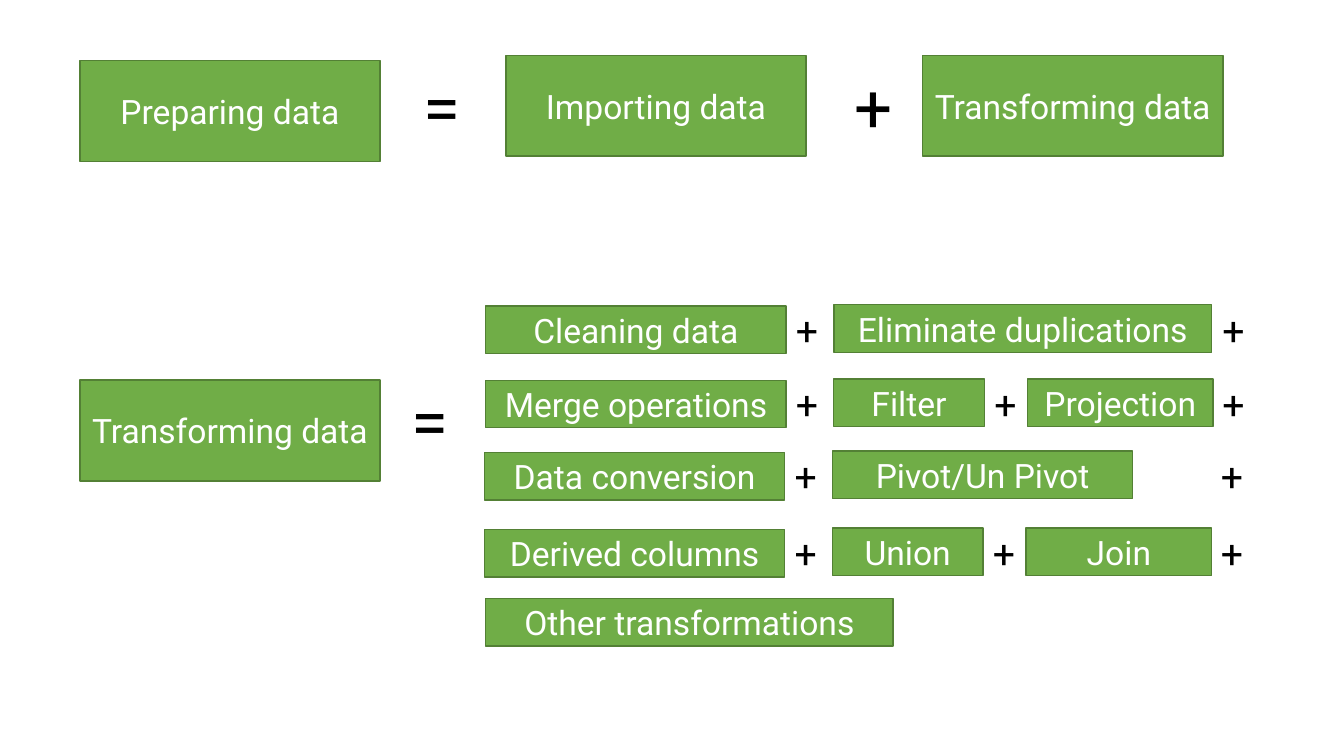
from dataclasses import dataclass

from pptx import Presentation
from pptx.dml.color import RGBColor
from pptx.enum.shapes import MSO_SHAPE
from pptx.enum.text import MSO_ANCHOR, MSO_AUTO_SIZE, PP_ALIGN
from pptx.util import Pt


@dataclass(frozen=True)
class Theme:
    font: str = "Roboto"
    box_fill: RGBColor = RGBColor(0x70, 0xAD, 0x47)
    box_line: RGBColor = RGBColor(0x53, 0x80, 0x35)
    box_text: RGBColor = RGBColor(0xFF, 0xFF, 0xFF)
    sign_text: RGBColor = RGBColor(0x00, 0x00, 0x00)
    box_size: int = 24
    large_sign_size: int = 48
    small_sign_size: int = 28
    line_width: int = 1


class EquationSlide:
    def __init__(self, slide, theme):
        self.slide = slide
        self.theme = theme

    def label(self, shape, text, size, color):
        paragraph = shape.text_frame.paragraphs[0]
        paragraph.text = text
        font = paragraph.runs[0].font
        font.name = self.theme.font
        font.size = Pt(size)
        font.color.rgb = color
        return paragraph

    def box(self, text, left, top, width, height):
        shape = self.slide.shapes.add_shape(
            MSO_SHAPE.RECTANGLE, Pt(left), Pt(top), Pt(width), Pt(height))
        shape.shadow.inherit = False
        shape.fill.solid()
        shape.fill.fore_color.rgb = self.theme.box_fill
        shape.line.color.rgb = self.theme.box_line
        shape.line.width = Pt(self.theme.line_width)
        shape.text_frame.word_wrap = True
        shape.text_frame.vertical_anchor = MSO_ANCHOR.MIDDLE
        paragraph = self.label(shape, text, self.theme.box_size, self.theme.box_text)
        paragraph.alignment = PP_ALIGN.CENTER

    def sign(self, text, left, top, width, height, size):
        shape = self.slide.shapes.add_textbox(Pt(left), Pt(top), Pt(width), Pt(height))
        shape.text_frame.word_wrap = False
        shape.text_frame.auto_size = MSO_AUTO_SIZE.SHAPE_TO_FIT_TEXT
        self.label(shape, text, size, self.theme.sign_text)

    def large_sign(self, text, left, top):
        self.sign(text, left, top, 47.5, 65.5, self.theme.large_sign_size)

    def small_plus(self, left, top):
        self.sign("+", left, top, 34, 41, self.theme.small_sign_size)

    def term_row(self, left, top, terms):
        for index, (text, offset, width) in enumerate(terms):
            rise = 1 if index else 0
            self.box(text, left + offset, top - rise, width, TERM_HEIGHT)
            is_last = index == len(terms) - 1
            if len(terms) > 1:
                plus_offset = ROW_WIDTH if is_last else offset + width
                self.small_plus(left + plus_offset, top - 3.6)


WIDE, TALL = 214.5, 72
TERM_HEIGHT = 34
ROW_WIDTH = 519
SECOND, THIRD = 248.6, 387
SHORT, MEDIUM, LONG = 107.5, 132.5, 270

MAIN_BOXES = [
    ("Preparing data", 57, 43.2),
    ("Importing data", 361.3, 39.6),
    ("Transforming data", 659, 39.6),
    ("Transforming data", 57, 271.5),
]
LARGE_SIGNS = [("=", 295.2, 43.2), ("+", 603.4, 43.2), ("=", 286.6, 267.1)]
TERM_ROWS = [
    (347, 218.7, [("Cleaning data", 0, WIDE), ("Eliminate duplications", SECOND, LONG)]),
    (347, 271.6, [("Merge operations", 0, WIDE), ("Filter", SECOND, SHORT),
                  ("Projection", THIRD, MEDIUM)]),
    (346, 323.2, [("Data conversion", 0, WIDE), ("Pivot/Un Pivot", SECOND, WIDE)]),
    (346, 378.2, [("Derived columns", 0, WIDE), ("Union", SECOND, SHORT),
                  ("Join", THIRD, MEDIUM)]),
    (347, 427.6, [("Other transformations", 0, 291)]),
]


def main():
    presentation = Presentation()
    presentation.slide_width = Pt(960)
    presentation.slide_height = Pt(540)
    slide = presentation.slides.add_slide(presentation.slide_layouts[6])
    equations = EquationSlide(slide, Theme())
    for text, left, top in MAIN_BOXES:
        equations.box(text, left, top, WIDE, TALL)
    for text, left, top in LARGE_SIGNS:
        equations.large_sign(text, left, top)
    for left, top, terms in TERM_ROWS:
        equations.term_row(left, top, terms)
    presentation.save("out.pptx")


if __name__ == "__main__":
    main()
